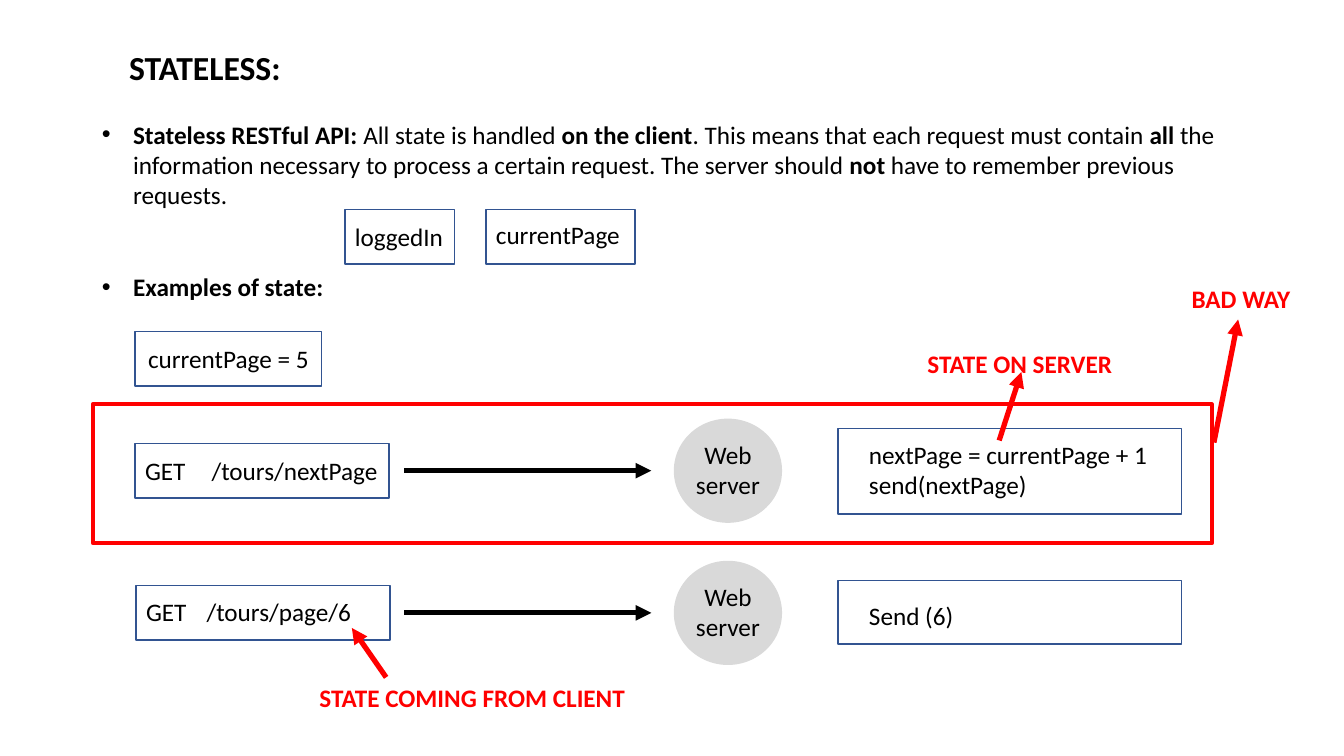
from dataclasses import dataclass

from lxml.etree import SubElement
from pptx import Presentation
from pptx.dml.color import RGBColor
from pptx.enum.shapes import MSO_CONNECTOR as Connector, MSO_SHAPE as Preset
from pptx.enum.text import MSO_ANCHOR as Anchor, MSO_AUTO_SIZE as AutoSize, PP_ALIGN as Align
from pptx.oxml.ns import qn
from pptx.slide import Slide
from pptx.text.text import TextFrame, _Paragraph as Paragraph
from pptx.util import Inches, Pt

COLORS = {"text": "000000", "outline": "325491", "alert": "FF0000", "server": "D9D9D9"}
FONT = "Calibri"
LINE_HEIGHT = 0.4
BOX_HEIGHT = 0.54
ROW_STEP = 1.41


@dataclass(frozen=True)
class Box:
    left: float
    top: float
    width: float
    height: float = BOX_HEIGHT


@dataclass(frozen=True)
class Label:
    text: str
    left: float
    top: float
    width: float
    height: float = LINE_HEIGHT


@dataclass(frozen=True)
class Arrow:
    start: tuple[float, float]
    end: tuple[float, float]
    color: str = "alert"


@dataclass(frozen=True)
class Request:
    left: float
    route: Label
    reply: Label
    reply_box: Box


STATE_BOXES = [Box(3.42, 2.08, 1.09), Box(4.82, 2.08, 1.48), Box(1.34, 3.29, 1.85)]
STATE_LABELS = [
    Label("loggedIn", 3.42, 2.15, 1.09),
    Label("currentPage", 4.82, 2.13, 1.44),
    Label("currentPage = 5", 1.37, 3.36, 1.81),
]
REQUESTS = [
    Request(1.34, Label("/tours/nextPage", 2, 4.47, 1.87),
            Label("nextPage = currentPage + 1\nsend(nextPage)", 8.52, 4.31, 2.99, 0.71),
            Box(8.31, 4.25, 3.41, 0.85)),
    Request(1.35, Label("/tours/page/6", 1.95, 5.87, 1.65),
            Label("Send (6)", 8.52, 5.91, 1.05),
            Box(8.31, 5.76, 3.41, 0.63)),
]
BAD_WAY_FRAME = Box(0.92, 4.01, 11.1, 1.38)
ALERT_LABELS = [
    Label("STATE COMING FROM CLIENT", 3.07, 6.72, 3.26),
    Label("STATE ON SERVER", 9.1, 3.41, 2.05),
    Label("BAD WAY", 11.72, 2.76, 1.19),
]
ALERT_ARROWS = [
    Arrow((3.83, 6.72), (3.49, 6.23)),
    Arrow((9.91, 4.37), (10.13, 3.69)),
    Arrow((12.04, 4.39), (12.28, 3.17)),
]
BULLETS = [
    [("Stateless RESTful API: ", True), ("All state is handled ", False),
     ("on the client", True), (". This means that each request must contain ", False),
     ("all ", True),
     ("the information necessary to process a certain request. The server should ", False),
     ("not ", True), ("have to remember previous requests.", False)],
    [("Examples of state:", True)],
]


def rgb(name: str) -> RGBColor:
    return RGBColor.from_string(COLORS[name])


def add_text(para: Paragraph, text: str, *, size: float = 18, bold: bool = False,
             color: str = "text") -> None:
    span = para.add_run()
    span.text = text
    span.font.name = FONT
    span.font.size = Pt(size)
    span.font.bold = bold
    span.font.color.rgb = rgb(color)


def add_label(slide: Slide, label: Label, *, bold: bool = False, color: str = "text",
              align: Align = Align.LEFT) -> None:
    box = slide.shapes.add_textbox(Inches(label.left), Inches(label.top),
                                   Inches(label.width), Inches(label.height))
    frame = box.text_frame
    frame.word_wrap = False
    for index, line in enumerate(label.text.split("\n")):
        para = frame.add_paragraph() if index else frame.paragraphs[0]
        para.alignment = align
        add_text(para, line, bold=bold, color=color)


def add_box(slide: Slide, box: Box, *, preset: Preset = Preset.RECTANGLE,
            fill: str | None = None, line: str = "outline", weight: float = 1) -> None:
    shape = slide.shapes.add_shape(preset, Inches(box.left), Inches(box.top),
                                   Inches(box.width), Inches(box.height))
    shape.shadow.inherit = False
    if fill:
        shape.fill.solid()
        shape.fill.fore_color.rgb = rgb(fill)
    else:
        shape.fill.background()
    shape.line.color.rgb = rgb(line)
    shape.line.width = Pt(weight)


def add_arrow(slide: Slide, arrow: Arrow) -> None:
    points = [Inches(value) for value in arrow.start + arrow.end]
    connector = slide.shapes.add_connector(Connector.STRAIGHT, *points)
    connector.line.color.rgb = rgb(arrow.color)
    connector.line.width = Pt(3.75)
    SubElement(connector.line._get_or_add_ln(), qn("a:tailEnd"), type="triangle")
    SubElement(connector._element.spPr, qn("a:effectLst"))


def place(holder, box: Box, anchor: Anchor) -> TextFrame:
    """Move a placeholder and return its text frame, ready to fill."""
    holder.left, holder.top = Inches(box.left), Inches(box.top)
    holder.width, holder.height = Inches(box.width), Inches(box.height)
    frame = holder.text_frame
    frame.auto_size = AutoSize.NONE
    frame.vertical_anchor = anchor
    return frame


def add_title(slide: Slide) -> None:
    frame = place(slide.shapes.title, Box(1.18, 0.42, 1.72, 0.5), Anchor.TOP)
    frame.word_wrap = False
    para = frame.paragraphs[0]
    para.alignment = Align.LEFT
    add_text(para, "STATELESS:", size=24, bold=True)


def add_bullets(slide: Slide) -> None:
    frame = place(slide.placeholders[1], Box(0.91, 1.13, 11.56, 1.92), Anchor.TOP)
    for index, spans in enumerate(BULLETS):
        para = frame.add_paragraph() if index else frame.paragraphs[0]
        para.space_before = Pt(44 * index)
        properties = para._p.get_or_add_pPr()
        properties.set("marL", str(Inches(0.31)))
        properties.set("indent", str(Inches(-0.31)))
        for text, bold in spans:
            add_text(para, text, bold=bold)


def add_request(slide: Slide, request: Request, offset: float) -> None:
    """Draw one row: the request, its arrow, the server and the reply."""
    add_box(slide, Box(request.left, 4.4 + offset, 2.52))
    add_label(slide, Label("GET", request.left, request.route.top, 0.61))
    add_label(slide, request.route)
    add_arrow(slide, Arrow((4.01, 4.67 + offset), (6.46, 4.67 + offset), "text"))
    add_box(slide, Box(6.69, 4.16 + offset, 1.06, 1.02), preset=Preset.OVAL,
            fill="server", line="server")
    add_label(slide, Label("Web\nserver", 6.8, 4.31 + offset, 0.84, 0.71), align=Align.CENTER)
    add_box(slide, request.reply_box)
    add_label(slide, request.reply)


def main() -> None:
    deck = Presentation()
    deck.slide_width, deck.slide_height = Inches(13.33), Inches(7.5)
    slide = deck.slides.add_slide(deck.slide_layouts[1])
    add_title(slide)
    add_bullets(slide)
    for box in STATE_BOXES:
        add_box(slide, box)
    for label in STATE_LABELS:
        add_label(slide, label)
    for index, request in enumerate(REQUESTS):
        add_request(slide, request, index * ROW_STEP)
    add_box(slide, BAD_WAY_FRAME, line="alert", weight=2.75)
    for arrow in ALERT_ARROWS:
        add_arrow(slide, arrow)
    for label in ALERT_LABELS:
        add_label(slide, label, bold=True, color="alert")
    deck.save("out.pptx")


if __name__ == "__main__":
    main()
